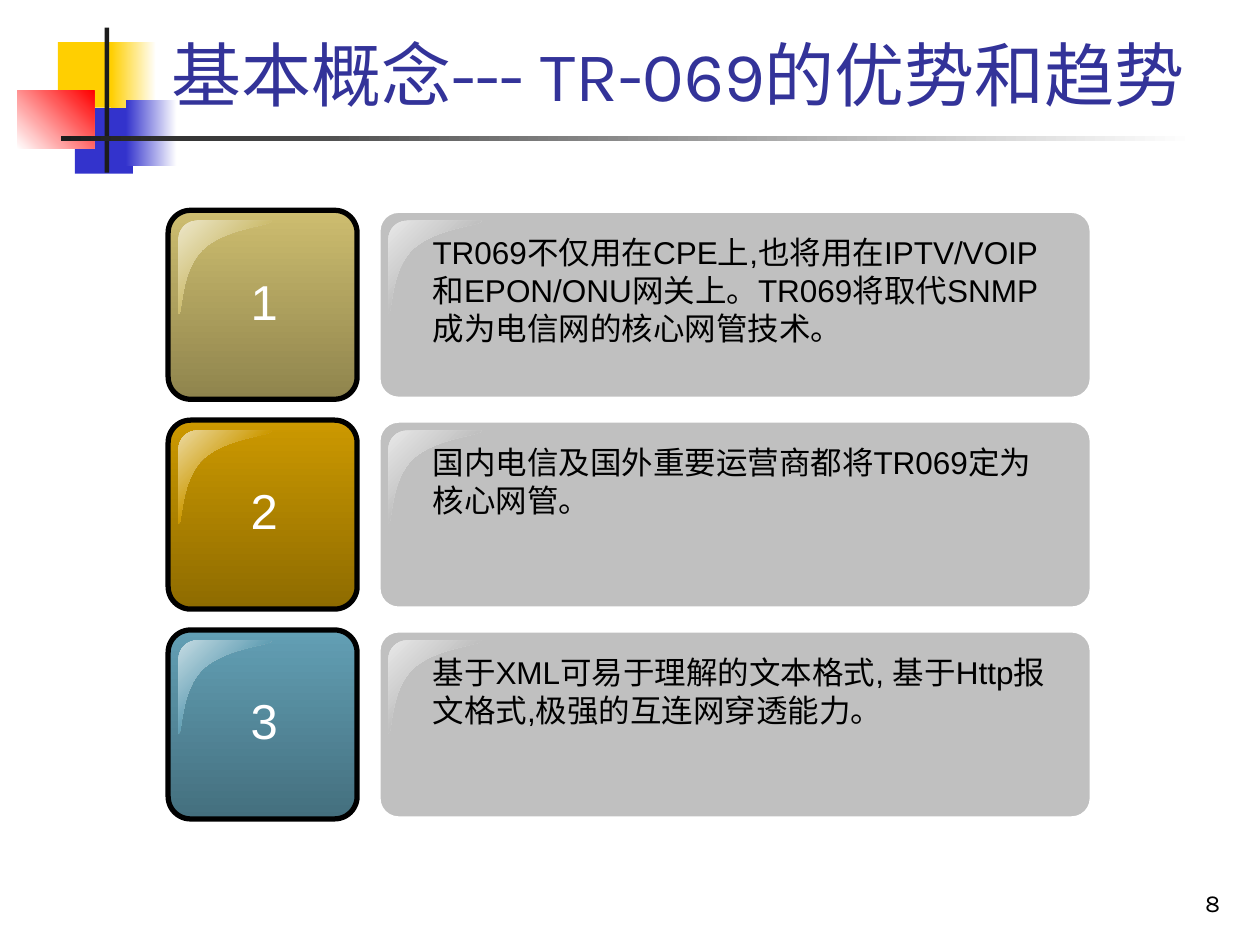
from copy import deepcopy

from lxml import etree
from pptx import Presentation
from pptx.dml.color import RGBColor
from pptx.enum.shapes import MSO_SHAPE
from pptx.enum.text import MSO_ANCHOR, MSO_AUTO_SIZE, PP_ALIGN
from pptx.oxml.ns import qn
from pptx.util import Cm, Pt

RECTANGLE, ROUNDED = MSO_SHAPE.RECTANGLE, MSO_SHAPE.ROUNDED_RECTANGLE
TOP, BOTTOM = MSO_ANCHOR.TOP, MSO_ANCHOR.BOTTOM
LEFT, CENTER, RIGHT = PP_ALIGN.LEFT, PP_ALIGN.CENTER, PP_ALIGN.RIGHT
NO_AUTOFIT = MSO_AUTO_SIZE.NONE

TITLE = "基本概念--- TR-069的优势和趋势"
PAGE_NUMBER = "8"
POINTS = [
    ("TR069不仅用在CPE上,也将用在IPTV/VOIP和EPON/ONU网关上。TR069将取代SNMP成为电信网的核心网管技术。",
     ("CDBD6F", "8F844D"), "EDE7CA"),
    ("国内电信及国外重要运营商都将TR069定为核心网管。",
     ("CC9900", "8E6B00"), "ECDAA2"),
    ("基于XML可易于理解的文本格式, 基于Http报文格式,极强的互连网穿透能力。",
     ("629FB4", "446F7E"), "C6DCE4"),
]
COLORS = {
    "title": "333399", "text": "000000", "number": "FFFFFF", "white": "FFFFFF",
    "panel": "C0C0C0", "panel_gloss": "E8E8E8", "border": "000000",
    "yellow": "FFCF01", "blue": "3333CC", "red": "FF0000", "rule": "1C1C1C",
}
ORNAMENTS = [
    ((1.17, 0.85, 1.22, 1.32), ["yellow"], 0),
    ((2.24, 0.85, 0.91, 1.32), ["yellow", "white"], 0),
    ((1.51, 2.18, 1.17, 1.32), ["blue"], 0),
    ((2.54, 2.02, 1.02, 1.32), ["blue", "white"], 0),
    ((0.35, 1.83, 1.55, 1.17), ["white", "red"], 45),
    ((2.11, 0.56, 0.09, 2.92), ["rule"], 0),
    ((1.23, 2.75, 22.86, 0.09), ["rule", "white"], 0),
]
FIRST_TOP, ROW_PITCH, ROW_HEIGHT = 4.24, 4.23, 3.81
TILE_LEFT, PANEL_LEFT, PANEL_WIDTH = 3.39, 7.62, 14.4
GLOSS_INSET = 0.21
GLOSS_UNIT = Cm(0.01)
GLOSS_START = (38, 0)
GLOSS_SEGMENTS = [
    ((0, 38), [(16, 0), (0, 17)]),
    ((0, 188), []),
    ((51, 56), [(8, 191), (3, 99)]),
    ((188, 0), [(99, 13), (191, 10)]),
]


def paint(shape, colors, angle=0):
    shape.shadow.inherit = False
    if len(colors) == 1:
        shape.fill.solid()
        shape.fill.fore_color.rgb = RGBColor.from_string(colors[0])
        return
    shape.fill.gradient()
    shape.fill.gradient_angle = angle
    stop_list = shape._element.spPr.find(qn("a:gradFill")).find(qn("a:gsLst"))
    if len(colors) == 3:
        stop_list.insert(1, deepcopy(stop_list[0]))
    for index, (stop, color) in enumerate(zip(shape.fill.gradient_stops, colors)):
        stop.position = index / (len(colors) - 1)
        stop.color.rgb = RGBColor.from_string(color)


def add_box(shapes, kind, place, colors, angle=0, border=None):
    box = shapes.add_shape(kind, *map(Cm, place))
    paint(box, colors, angle)
    if border:
        box.line.color.rgb = RGBColor.from_string(border)
        box.line.width = Pt(3)
    else:
        box.line.fill.background()
    return box


def add_gloss(shapes, left, top, light, base):
    builder = shapes.build_freeform(*GLOSS_START, scale=GLOSS_UNIT)
    builder.add_line_segments([end for end, _ in GLOSS_SEGMENTS], close=True)
    gloss = builder.convert_to_shape(Cm(left + GLOSS_INSET), Cm(top + GLOSS_INSET))
    segments = list(gloss._element.spPr.iter(qn("a:lnTo")))
    for segment, (_, controls) in zip(segments, GLOSS_SEGMENTS):
        if controls:
            curve = etree.Element(qn("a:cubicBezTo"))
            segment.getparent().replace(segment, curve)
            for x, y in controls:
                etree.SubElement(curve, qn("a:pt"), x=str(x), y=str(y))
            curve.append(segment[0])
    paint(gloss, [light, base, light], 315)
    gloss.line.fill.background()


def write(box, text, size, font, color, align=LEFT, anchor=TOP, wrap=True):
    frame = box.text_frame
    frame.text = text
    frame.auto_size = NO_AUTOFIT
    frame.word_wrap = wrap
    frame.vertical_anchor = anchor
    para = frame.paragraphs[0]
    para.alignment = align
    para.font.size = Pt(size)
    para.font.name = font
    para.font.color.rgb = RGBColor.from_string(color)


def add_text(shapes, place, *args, **options):
    write(shapes.add_textbox(*map(Cm, place)), *args, **options)


def add_row(shapes, index, text, shades, light):
    top = FIRST_TOP + index * ROW_PITCH
    tile = add_box(shapes, ROUNDED, (TILE_LEFT, top, ROW_HEIGHT, ROW_HEIGHT),
                   shades, 270, COLORS["border"])
    tile.adjustments[0] = 0.119
    add_gloss(shapes, TILE_LEFT, top, light, shades[0])
    add_text(shapes, (TILE_LEFT + 1.42, top + 1.1, 1.04, 1.44), str(index + 1),
             28, "Arial", COLORS["number"], align=CENTER, wrap=False)
    panel = add_box(shapes, ROUNDED, (PANEL_LEFT, top, PANEL_WIDTH, ROW_HEIGHT),
                    [COLORS["panel"]], border=COLORS["white"])
    panel.adjustments[0] = 0.109
    add_gloss(shapes, PANEL_LEFT, top, COLORS["panel_gloss"], COLORS["panel"])
    add_text(shapes, (PANEL_LEFT + 0.85, top + 0.34, 12.9, 2.54), text,
             18, "Arial", COLORS["text"])


def main():
    deck = Presentation()
    deck.slide_width, deck.slide_height = Cm(25.4), Cm(19.05)
    slide = deck.slides.add_slide(deck.slide_layouts[5])
    shapes = slide.shapes
    title = shapes.title
    for place, names, angle in ORNAMENTS:
        add_box(shapes, RECTANGLE, place, [COLORS[name] for name in names], angle)
    shapes._spTree.append(title._element)
    title.left, title.top, title.width, title.height = map(Cm, (3.2, 0.12, 21.64, 2.34))
    write(title, TITLE, 40, "Karla", COLORS["title"], anchor=BOTTOM)
    for index, point in enumerate(POINTS):
        add_row(shapes, index, *point)
    add_text(shapes, (19.57, 17.34, 5.28, 1.27), PAGE_NUMBER, 14, "Karla",
             COLORS["text"], align=RIGHT, anchor=BOTTOM)
    deck.save("out.pptx")


if __name__ == "__main__":
    main()
